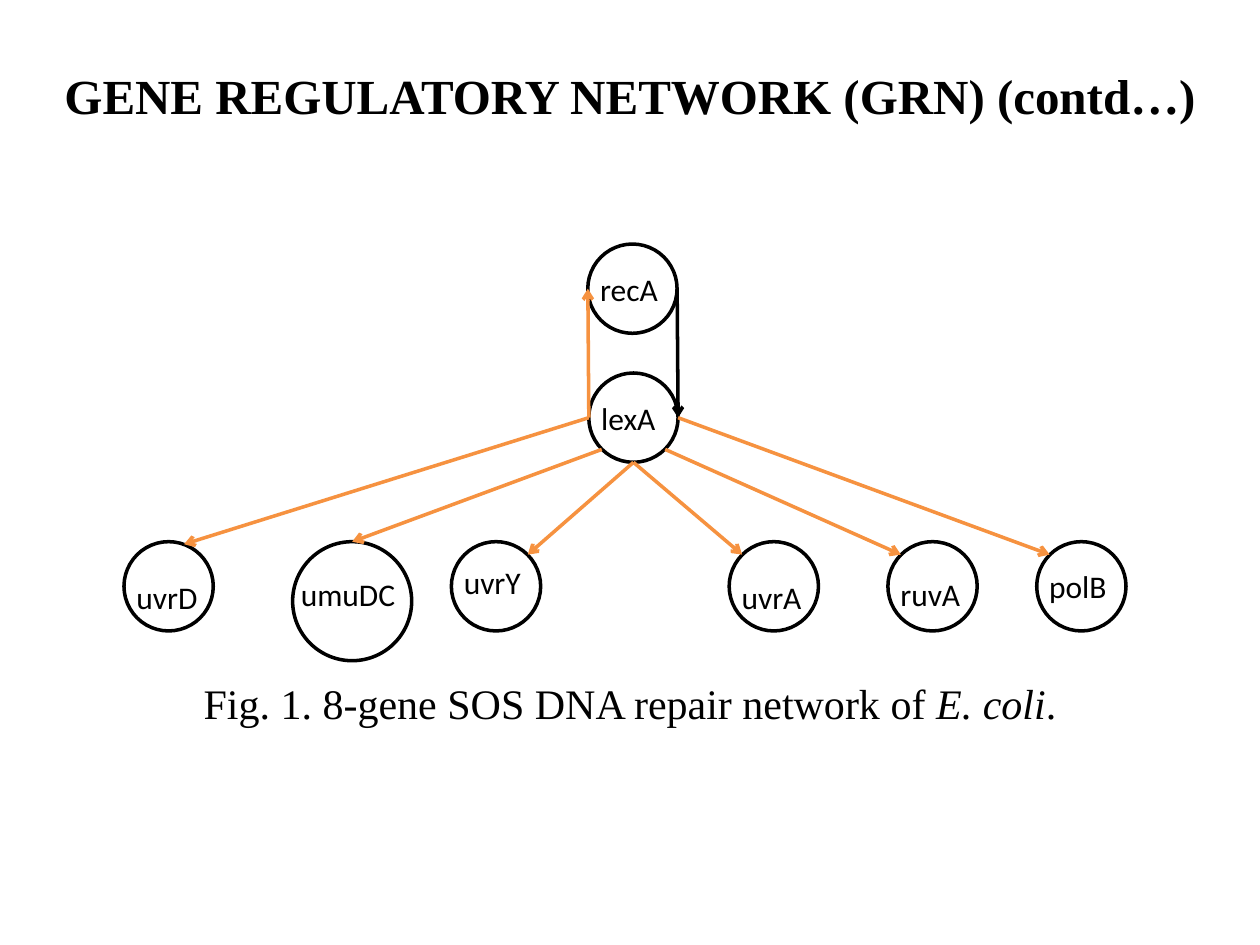
import math
import pptx
import pptx.util
import pptx.dml.color
import pptx.enum.shapes
import pptx.enum.text
import pptx.oxml
import pptx.oxml.ns
from lxml import etree
from dataclasses import dataclass

Cm, Pt = pptx.util.Cm, pptx.util.Pt
RGB = pptx.dml.color.RGBColor.from_string
PP_ALIGN = pptx.enum.text.PP_ALIGN
qn = pptx.oxml.ns.qn


@dataclass
class Theme:
    ink: str = "000000"
    paper: str = "FFFFFF"
    repression: str = "F69240"
    serif: str = "Times New Roman"
    sans: str = "Calibri"
    title: int = 28
    caption: int = 24
    label: int = 18
    stroke: int = 2


theme = Theme()


def add_run(p, text, **formats):
    r = p.add_run()
    r.text = text
    r.font.color.rgb = RGB(theme.ink)
    for name, value in formats.items():
        setattr(r.font, name, value)


def rim_point(gene, angle):
    left, top, size = genes[gene][:3]
    turn = math.radians(angle)
    x = left + size / 2 * (1 + math.cos(turn))
    y = top + size / 2 * (1 - math.sin(turn))
    return Cm(round(x, 2)), Cm(round(y, 2))


prs = pptx.Presentation()
prs.slide_width, prs.slide_height = Cm(25.4), Cm(19.05)
s = prs.slides.add_slide(prs.slide_layouts[5])

title = s.shapes.title
box = {"left": 0.79, "top": 0.84, "width": 23.82, "height": 2.16}
for name, value in box.items():
    setattr(title, name, Cm(value))
tf = title.text_frame
tf.vertical_anchor = pptx.enum.text.MSO_ANCHOR.MIDDLE
p = tf.paragraphs[0]
p.alignment = PP_ALIGN.CENTER
add_run(p, "GENE REGULATORY NETWORK (GRN) (contd…)",
        name=theme.serif, size=Pt(theme.title), bold=True)

caption = s.shapes.add_textbox(Cm(1.27), Cm(13.53), Cm(22.86), Cm(1.27))
tf = caption.text_frame
tf.word_wrap = True
p = tf.paragraphs[0]
p.alignment = PP_ALIGN.CENTER
for text, italic in (("Fig. 1. 8-gene SOS DNA repair network of ", False),
                     ("E. coli", True), (".", False)):
    add_run(p, text, name=theme.serif, size=Pt(theme.caption), italic=italic)

row_top, node, large_node = 10.92, 1.8, 2.4
genes = {
    "recA": (11.85, 4.92, node, 5.31),
    "lexA": (11.87, 7.52, node, 7.92),
    "uvrD": (2.5, row_top, node, 11.53),
    "umuDC": (5.9, row_top, large_node, 11.47),
    "uvrY": (9.1, row_top, node, 11.23),
    "uvrA": (14.7, row_top, node, 11.53),
    "ruvA": (17.9, row_top, node, 11.47),
    "polB": (20.9, row_top, node, 11.3),
}
for gene, (left, top, size, label_top) in genes.items():
    sp = s.shapes.add_shape(pptx.enum.shapes.MSO_SHAPE.OVAL,
                            Cm(left), Cm(top), Cm(size), Cm(size))
    sp.shadow.inherit = False
    sp.fill.solid()
    sp.fill.fore_color.rgb = RGB(theme.paper)
    sp.line.color.rgb = RGB(theme.ink)
    sp.line.width = Pt(theme.stroke)

for gene, (left, top, size, label_top) in genes.items():
    overhang = (size - node) / 7
    label = s.shapes.add_textbox(Cm(left - overhang), Cm(label_top),
                                 Cm(size + 2 * overhang), Cm(1.02))
    tf = label.text_frame
    tf.word_wrap = True
    p = tf.paragraphs[0]
    p.alignment = PP_ALIGN.LEFT
    add_run(p, gene, name=theme.sans, size=Pt(theme.label))

regulations = (
    ("lexA", 180, "recA", 180, theme.repression),
    ("recA", 0, "lexA", 0, theme.ink),
    ("lexA", 180, "uvrD", 70, theme.repression),
    ("lexA", 225, "umuDC", 90, theme.repression),
    ("lexA", 270, "uvrY", 45, theme.repression),
    ("lexA", 270, "uvrA", 135, theme.repression),
    ("lexA", 315, "ruvA", 135, theme.repression),
    ("lexA", 0, "polB", 135, theme.repression),
)
for source, start, target, end, color in regulations:
    arrow = s.shapes.add_connector(pptx.enum.shapes.MSO_CONNECTOR.STRAIGHT,
                                   *rim_point(source, start),
                                   *rim_point(target, end))
    arrow.line.color.rgb = RGB(color)
    arrow.line.width = Pt(theme.stroke)
    etree.SubElement(arrow.line._get_or_add_ln(), qn("a:tailEnd"), type="arrow")
    etree.SubElement(arrow._element.spPr, qn("a:effectLst"))

prs.save("out.pptx")
